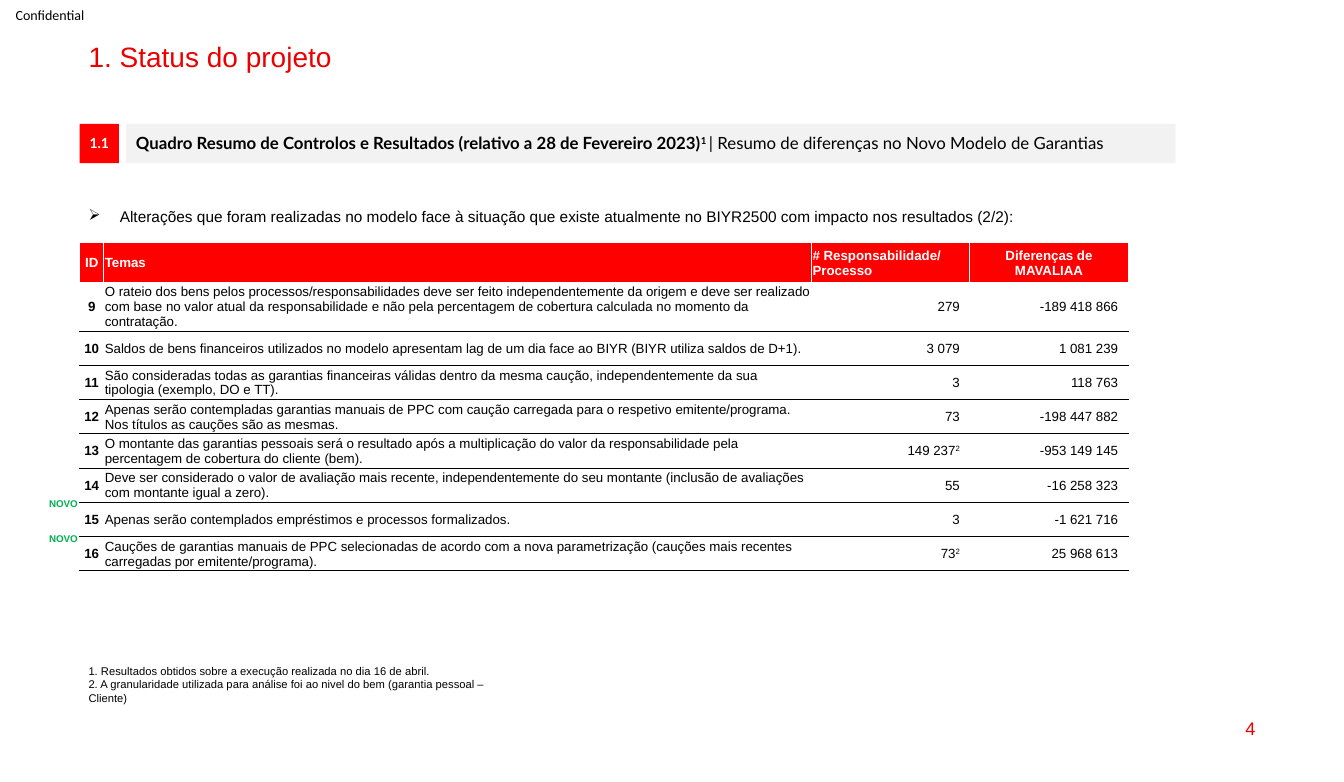
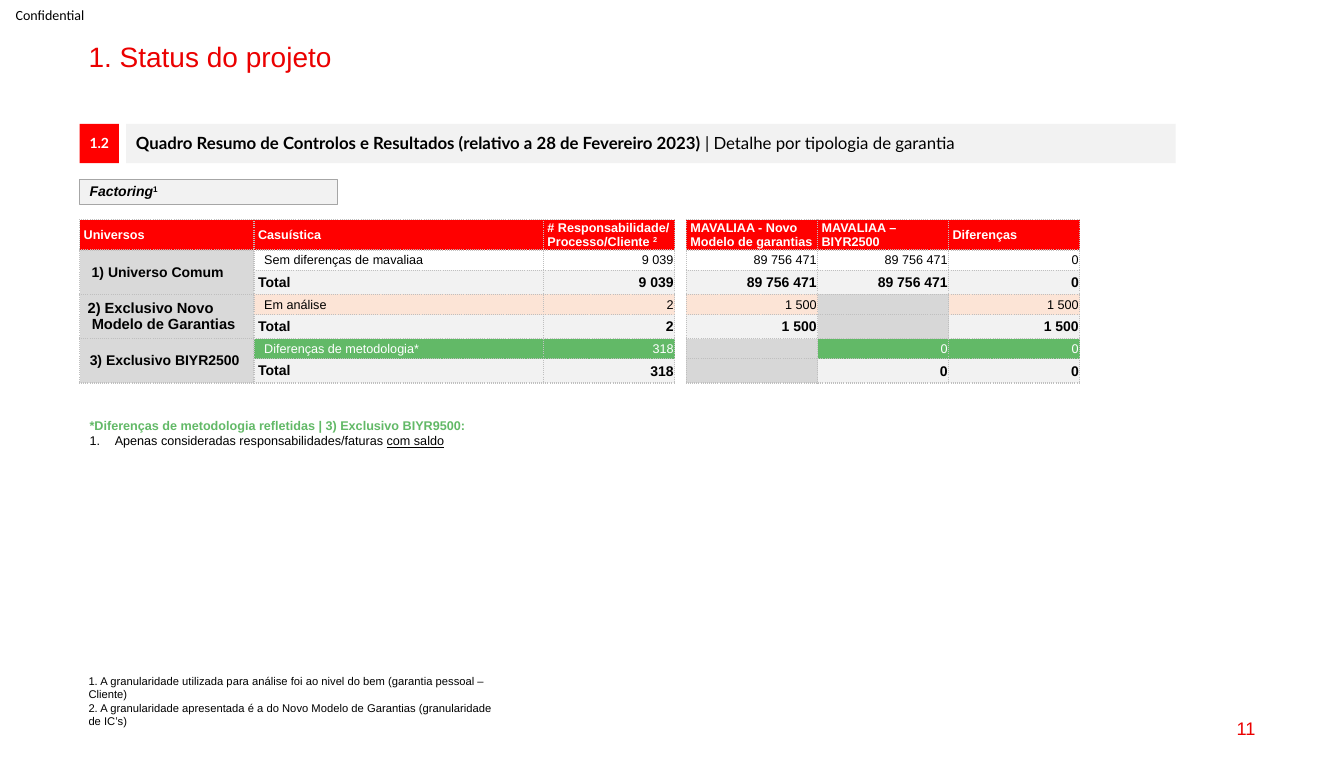
"""Builds two project status slides with control summary tables."""
from lxml import etree
from pptx import Presentation
from pptx.dml.color import RGBColor
from pptx.enum import shapes, text
from pptx.oxml import ns
from pptx.util import Inches, Pt

COLORS = {
    "title": "EB0000", "red": "FF0000", "white": "FFFFFF", "black": "000000",
    "band": "F2F2F2", "outline": "A6A6A6", "new": "00B050", "dots": "BFBFBF",
    "universe": "D9D9D9", "empty": "D7D7D7", "peach": "FCE4D6", "green": "62B967",
}
ALIGN = {"l": text.PP_ALIGN.LEFT, "c": text.PP_ALIGN.CENTER, "r": text.PP_ALIGN.RIGHT}
TOP, MIDDLE = text.MSO_ANCHOR.TOP, text.MSO_ANCHOR.MIDDLE
SUP = {"base": 30000}
PLAIN = {"bold": False}

SUMMARY = "Quadro Resumo de Controlos e Resultados (relativo a 28 de Fevereiro 2023)"
SECTIONS = [
    {"page": "4", "number": "1.1", "heading": [
        (SUMMARY, {}), ("1 ", SUP),
        ("| Resumo de diferenças no Novo Modelo de Garantias", PLAIN)]},
    {"page": "11", "number": "1.2", "heading": [
        (SUMMARY + " ", {}), ("| Detalhe por tipologia de garantia", PLAIN)]},
]

CHANGES_INTRO = ("Alterações que foram realizadas no modelo face à situação que existe "
                 "atualmente no BIYR2500 com impacto nos resultados (2/2):")
CHANGES_HEAD = ["ID", "Temas", "# Responsabilidade/ Processo", "Diferenças de MAVALIAA"]
CHANGES = [
    ("9", "O rateio dos bens pelos processos/responsabilidades deve ser feito independentemente "
          "da origem e deve ser realizado com base no valor atual da responsabilidade e não pela "
          "percentagem de cobertura calculada no momento da contratação.", "279", "-189 418 866"),
    ("10", "Saldos de bens financeiros utilizados no modelo apresentam lag de um dia face ao BIYR "
           "(BIYR utiliza saldos de D+1).", "3 079", "1 081 239"),
    ("11", "São consideradas todas as garantias financeiras válidas dentro da mesma caução, "
           "independentemente da sua tipologia (exemplo, DO e TT).", "3", "118 763"),
    ("12", "Apenas serão contempladas garantias manuais de PPC com caução carregada para o "
           "respetivo emitente/programa. Nos títulos as cauções são as mesmas.",
     "73", "-198 447 882"),
    ("13", "O montante das garantias pessoais será o resultado após a multiplicação do valor da "
           "responsabilidade pela percentagem de cobertura do cliente (bem).",
     [("149 237", {}), ("2", SUP)], "-953 149 145"),
    ("14", "Deve ser considerado o valor de avaliação mais recente, independentemente do seu "
           "montante (inclusão de avaliações com montante igual a zero).", "55", "-16 258 323"),
    ("15", "Apenas serão contemplados empréstimos e processos formalizados.", "3", "-1 621 716"),
    ("16", "Cauções de garantias manuais de PPC selecionadas de acordo com a nova parametrização "
           "(cauções mais recentes carregadas por emitente/programa).",
     [("73", {}), ("2", SUP)], "25 968 613"),
]
CHANGES_COLS = [0.24, 7.02, 1.57, 1.57]
CHANGES_ROWS = [0.39] + [0.34] * len(CHANGES)
CHANGES_NOTES = [
    "1. Resultados obtidos sobre a execução realizada no dia 16 de abril.",
    "2. A granularidade utilizada para análise foi ao nivel do bem (garantia pessoal – Cliente)",
]
NEW_TAGS = [4.83, 5.17]

FACTORING_HEAD = [
    ["Universos"], ["Casuística"],
    ["# Responsabilidade/", [("Processo/Cliente ", {}), ("2", SUP)]], None,
    ["MAVALIAA - Novo Modelo de garantias"], ["MAVALIAA – BIYR2500"], ["Diferenças"],
]
UNIVERSES = [
    {"label": ["1) Universo Comum"], "left": 0.12, "size": 10,
     "case": "Sem diferenças de mavaliaa", "fill": None, "color": "black",
     "values": ["9 039", None, "89 756 471", "89 756 471", "0"]},
    {"label": ["2) Exclusivo Novo", "Modelo de Garantias"], "left": 0.08, "size": 10.5,
     "case": "Em análise", "fill": "peach", "color": "black",
     "values": ["2", None, "1 500", None, "1 500"]},
    {"label": ["3) Exclusivo BIYR2500"], "left": 0.1, "size": 10,
     "case": "Diferenças de metodologia*", "fill": "green", "color": "white",
     "values": ["318", None, None, "0", "0"]},
]
FACTORING_COLS = [1.73, 2.87, 1.3, 0.11, 1.3, 1.3, 1.3]
FACTORING_ROWS = [0.26] + [0.2, 0.24] * len(UNIVERSES)
GAP_COL = 3
METHOD_NOTES = [
    [("*Diferenças de metodologia refletidas | 3) Exclusivo BIYR9500:",
      {"bold": True, "color": "green"})],
    [("Apenas consideradas responsabilidades/faturas ", {}), ("com saldo", {"underline": True})],
]
FACTORING_NOTES = [
    "1. A granularidade utilizada para análise foi ao nivel do bem (garantia pessoal – Cliente)",
    "2. A granularidade apresentada é a do Novo Modelo de Garantias (granularidade de IC’s)",
]


def rgb(name):
    return RGBColor.from_string(COLORS[name])


def paint(fill, name):
    if name:
        fill.solid()
        fill.fore_color.rgb = rgb(name)
    else:
        fill.background()


def style_font(font, size=10, name="Arial", color="black", base=None, **flags):
    font.size, font.name = Pt(size), name
    font.color.rgb = rgb(color)
    for key, value in flags.items():
        setattr(font, key, value)
    if base:
        font._element.set("baseline", str(base))


def write(tf, paragraphs, align="l", spacing=None, **style):
    for i, runs in enumerate(paragraphs):
        p = tf.paragraphs[0] if i == 0 else tf.add_paragraph()
        p.alignment = ALIGN[align]
        if spacing:
            p.line_spacing = spacing
        for words, extra in [(runs, {})] if isinstance(runs, str) else runs:
            r = p.add_run()
            r.text = words
            style_font(r.font, **{**style, **extra})


def indent(p, left, hanging=0, bullet=None):
    ppr = p._p.get_or_add_pPr()
    ppr.set("marL", str(Inches(left)))
    ppr.set("indent", str(Inches(-hanging)))
    if bullet:
        tag, key, value = bullet
        etree.SubElement(ppr, ns.qn(tag)).set(key, value)


def add_text(s, at, paragraphs, fill=None, line=None, anchor=TOP, inset=(0.1, 0.05), **style):
    box = [Inches(v) for v in at]
    if fill:
        sp = s.shapes.add_shape(shapes.MSO_SHAPE.RECTANGLE, *box)
        sp.shadow.inherit = False
        paint(sp.fill, fill)
        paint(sp.line.fill, line)
        if line:
            sp.line.width = Pt(0.75)
    else:
        sp = s.shapes.add_textbox(*box)
    tf = sp.text_frame
    tf.word_wrap, tf.vertical_anchor = True, anchor
    tf.margin_left = tf.margin_right = Inches(inset[0])
    tf.margin_top = tf.margin_bottom = Inches(inset[1])
    write(tf, paragraphs, **style)
    return tf


def add_grid(s, top, cols, rows):
    frame = s.shapes.add_table(len(rows), len(cols), Inches(0.79), Inches(top),
                               Inches(sum(cols)), Inches(sum(rows)))
    table = frame.table
    table.first_row = table.horz_banding = False
    for column, width in zip(table.columns, cols):
        column.width = Inches(width)
    for row, height in zip(table.rows, rows):
        row.height = Inches(height)
    return table


def set_borders(cell, edges):
    tcpr = cell._tc.get_or_add_tcPr()
    for side, edge in zip("LRTB", edges):
        ln = etree.SubElement(tcpr, ns.qn("a:ln" + side))
        if not edge:
            etree.SubElement(ln, ns.qn("a:noFill"))
            continue
        color, width, dash = edge
        ln.set("w", str(Pt(width)))
        solid = etree.SubElement(ln, ns.qn("a:solidFill"))
        etree.SubElement(solid, ns.qn("a:srgbClr")).set("val", COLORS[color])
        etree.SubElement(ln, ns.qn("a:prstDash")).set("val", dash)


def fill_cell(cell, paragraphs, edges, fill=None, margins=(0.01, 0.01, 0.01, 0), **style):
    set_borders(cell, edges)
    paint(cell.fill, fill)
    cell.vertical_anchor = MIDDLE
    for side, value in zip(("left", "top", "right", "bottom"), margins):
        setattr(cell, "margin_" + side, Inches(value))
    if paragraphs:
        write(cell.text_frame, paragraphs, **style)
    else:
        end = etree.SubElement(cell.text_frame.paragraphs[0]._p, ns.qn("a:endParaRPr"))
        end.set("sz", "800")


def add_section(prs, page, number, heading):
    s = prs.slides.add_slide(prs.slide_layouts[6])
    add_text(s, (0, 0, 0.99, 0.29), ["Confidential"], anchor=MIDDLE, inset=(0, 0),
             align="c", name="Calibri")
    add_text(s, (0.78, 0.38, 11.77, 0.34), ["1. Status do projeto"],
             spacing=0.9, size=20, color="title")
    add_text(s, (9.55, 7.02, 3, 0.41), [page], anchor=MIDDLE, align="r", size=13, color="title")
    label = {"anchor": MIDDLE, "spacing": 0.9, "name": "Lato", "bold": True}
    add_text(s, (0.79, 1.23, 0.39, 0.39), [number], fill="red", align="c", color="white", **label)
    add_text(s, (1.25, 1.23, 10.41, 0.39), [heading], fill="band", size=12, **label)
    return s


def add_notes(s, top, notes):
    add_text(s, (0.78, top, 4.33, 0.61), notes, size=8)


def build_changes(s):
    white, black = ("white", 1, "solid"), ("black", 0.5, "solid")
    table = add_grid(s, 2.41, CHANGES_COLS, CHANGES_ROWS)
    for col, (head, align) in enumerate(zip(CHANGES_HEAD, "cllc")):
        fill_cell(table.cell(0, col), [head], [white] * 4, "red",
                  align=align, size=9.5, color="white", bold=True)
    for row, values in enumerate(CHANGES, 1):
        edges = [white, white, white if row == 1 else black, black]
        for col, (value, align) in enumerate(zip(values, "clrr")):
            right = 0.1 if align == "r" else 0.01
            fill_cell(table.cell(row, col), [value], edges, margins=(0.01, 0.01, right, 0),
                      align=align, size=9.5, bold=col == 0)
    tf = add_text(s, (0.78, 2.01, 10.88, 0.29), [CHANGES_INTRO], size=11)
    indent(tf.paragraphs[0], 0.31, 0.31, ("a:buChar", "char", "➢"))
    for top in NEW_TAGS:
        add_text(s, (-0.03, top, 0.9, 0.34), ["NOVO"], anchor=MIDDLE, align="r",
                 size=7, color="new", bold=True)
    add_notes(s, 6.54, CHANGES_NOTES)


def build_factoring(s):
    add_text(s, (0.79, 1.78, 2.56, 0.25),
             [[("Factoring", {"italic": True}), ("1", SUP)]],
             fill="band", line="outline", anchor=MIDDLE, spacing=0.9, bold=True)
    dots = ("dots", 1, "sysDot")
    boxed, gap_edges = [dots] * 4, [dots, dots, None, None]
    padded = (0.04, 0, 0.04, 0)
    table = add_grid(s, 2.18, FACTORING_COLS, FACTORING_ROWS)
    for col, head in enumerate(FACTORING_HEAD):
        fill_cell(table.cell(0, col), head, boxed if head else gap_edges,
                  "red" if head else None, padded, size=9, color="white", bold=True)
    for i, u in enumerate(UNIVERSES):
        first = 1 + 2 * i
        label = table.cell(first, 0)
        fill_cell(label, u["label"], boxed, "universe", (u["left"], 0, 0.04, 0),
                  size=u["size"], bold=True)
        for p in label.text_frame.paragraphs[1:]:
            indent(p, 0.04)
        fill_cell(table.cell(first + 1, 0), None, boxed, "universe")
        label.merge(table.cell(first + 1, 0))
        lines = [
            (u["case"], u["fill"], (0.1, 0.01, 0.01, 0),
             {"size": 9, "color": u["color"], "bold": False}),
            ("Total", "band", padded, {"size": 10, "bold": True}),
        ]
        for row, (name, fill, margins, style) in enumerate(lines, first):
            fill_cell(table.cell(row, 1), [name], boxed, fill, margins, **style)
            for col, value in enumerate(u["values"], 2):
                cell = table.cell(row, col)
                if col == GAP_COL:
                    fill_cell(cell, None, gap_edges)
                elif value is None:
                    fill_cell(cell, None, boxed, "empty")
                else:
                    fill_cell(cell, [value], boxed, fill, align="r", **style)
    add_notes(s, 6.64, FACTORING_NOTES)
    tf = add_text(s, (0.79, 4.1, 10.55, 1.5), METHOD_NOTES, size=9)
    indent(tf.paragraphs[1], 0.25, 0.25, ("a:buAutoNum", "type", "arabicPeriod"))


def main():
    prs = Presentation()
    prs.slide_width, prs.slide_height = Inches(13.33), Inches(7.76)
    for section, build in zip(SECTIONS, (build_changes, build_factoring)):
        build(add_section(prs, **section))
    prs.save("out.pptx")


if __name__ == "__main__":
    main()
